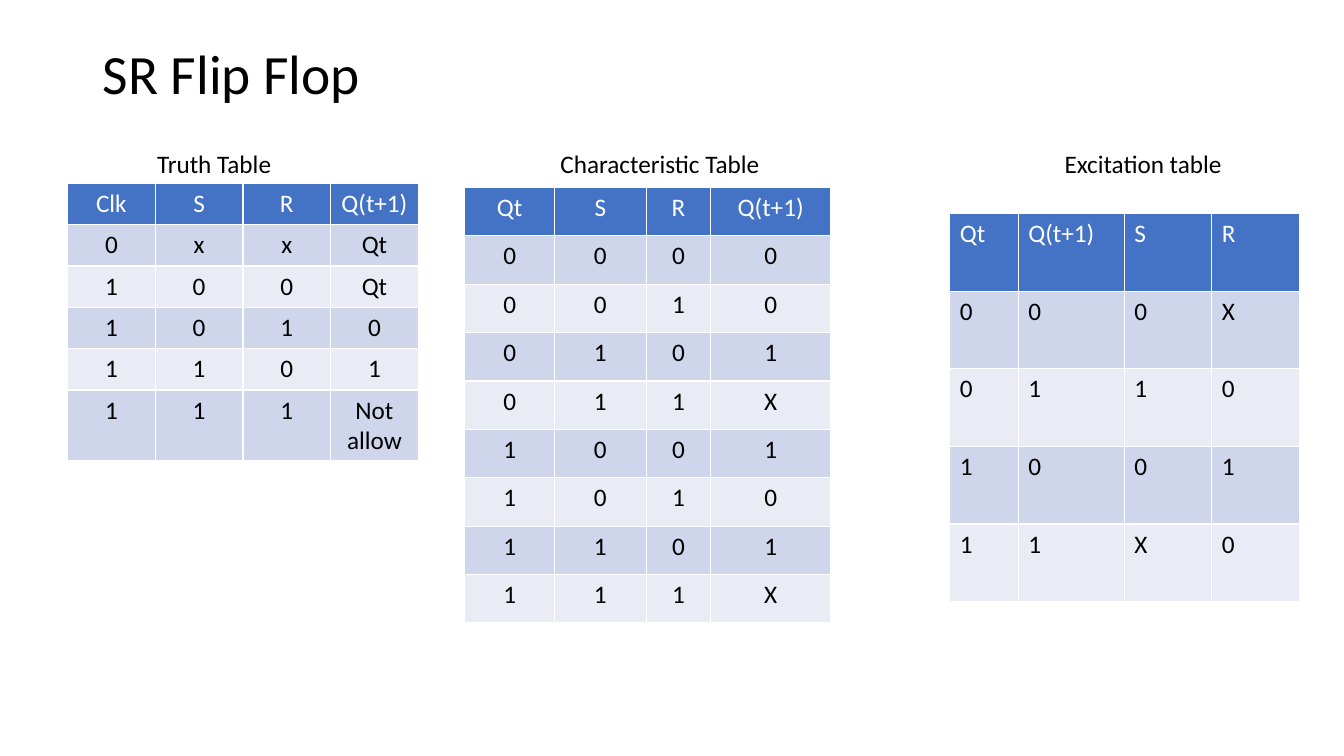
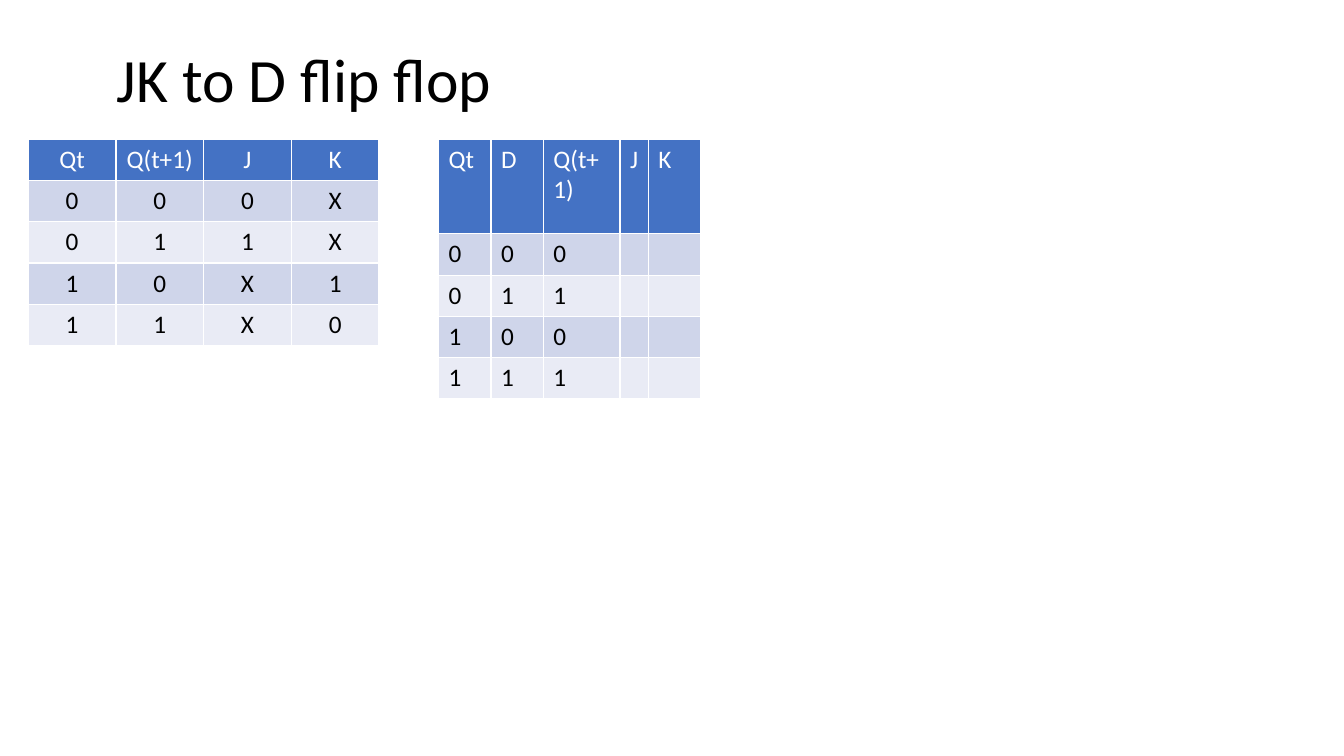
from pptx import Presentation
from pptx import util as u
from pptx.dml.color import RGBColor
from pptx.enum import text as t
from pptx.oxml import parse_xml
from pptx.oxml.ns import nsdecls

INK, WHITE, HEAD = "000000", "FFFFFF", "4472C4"
BANDS = ["CFD5EA", "E9EBF5"]
LEFT, MID = t.PP_ALIGN.LEFT, t.PP_ALIGN.CENTER

TRUTH = ["Clk,S,R,Q(t+1)", "0,x,x,Qt", "1,0,0,Qt", "1,0,1,0", "1,1,0,1",
         "1,1,1,Not allow"]
CHAR = ["Qt,S,R,Q(t+1)", "0,0,0,0", "0,0,1,0", "0,1,0,1", "0,1,1,X",
        "1,0,0,1", "1,0,1,0", "1,1,0,1", "1,1,1,X"]
EXCITE = ["Qt,Q(t+1),S,R", "0,0,0,X", "0,1,1,0", "1,0,0,1", "1,1,X,0"]
JK = ["Qt,Q(t+1),J,K", "0,0,0,X", "0,1,1,X", "1,0,X,1", "1,1,X,0"]
JK_TO_D = ["Qt,D,Q(t+1),J,K", "0,0,0,,", "0,1,1,,", "1,0,0,,", "1,1,1,,"]


def put(obj, **vals):
    """Set each named attribute on an object."""
    for key, val in vals.items():
        setattr(obj, key, val)


def hue(code):
    """Turn a hex string into a colour."""
    return RGBColor.from_string(code)


def style(par, size, color, align=LEFT):
    """Format a paragraph and its runs."""
    par.alignment = align
    for run in par.runs:
        put(run.font, name="Calibri", size=u.Pt(size), bold=False)
        run.font.color.rgb = hue(color)


def add_page(deck, title, size, high):
    """Add a slide with its title."""
    page = deck.slides.add_slide(deck.slide_layouts[5])
    head = page.shapes.title
    put(head, left=u.Inches(0.92), top=u.Inches(0.4),
        width=u.Inches(11.5), height=u.Inches(high))
    frame = head.text_frame
    put(frame, text=title, word_wrap=True, auto_size=t.MSO_AUTO_SIZE.NONE,
        vertical_anchor=t.MSO_ANCHOR.MIDDLE)
    par = frame.paragraphs[0]
    par.line_spacing = 0.9
    style(par, size, INK)
    return page


def add_heads(page, left, top, names, stops):
    """Add one line of table headings, spaced by tab stops."""
    box = page.shapes.add_textbox(*map(u.Inches, (left, top, 10.87, 0.4)))
    put(box.text_frame, word_wrap=True, text="\t".join(names))
    par = box.text_frame.paragraphs[0]
    style(par, 18, INK)
    tabs = "".join(f'<a:tab pos="{u.Inches(stop)}" algn="l"/>' for stop in stops)
    par._p.get_or_add_pPr().append(
        parse_xml(f'<a:tabLst {nsdecls("a")}>{tabs}</a:tabLst>'))


def add_grid(page, left, top, cols, highs, lines, align=MID):
    """Add a banded table from lines of comma-separated cells."""
    sizes = (left, top, sum(cols), sum(highs))
    grid = page.shapes.add_table(
        len(lines), len(cols), *map(u.Inches, sizes)).table
    for col, wide in zip(grid.columns, cols):
        col.width = u.Inches(wide)
    for i, (row, high, line) in enumerate(zip(grid.rows, highs, lines)):
        row.height = u.Inches(high)
        fill = BANDS[(i - 1) % 2] if i else HEAD
        for cell, word in zip(row.cells, line.split(",")):
            cell.fill.solid()
            cell.fill.fore_color.rgb = hue(fill)
            if word:
                cell.text = word
            style(cell.text_frame.paragraphs[0], 18, INK if i else WHITE, align)


def main():
    """Build and save the deck."""
    deck = Presentation()
    put(deck, slide_width=u.Inches(13.33), slide_height=u.Inches(7.5))

    page = add_page(deck, "SR Flip Flop", 39.6, 0.72)
    add_heads(page, 1.46, 1.42,
              ["Truth Table ", "Characteristic Table ", "Excitation table"],
              [4, 9])
    add_grid(page, 0.67, 1.82, [0.87] * 4, [0.41] * 5 + [0.69], TRUTH)
    add_grid(page, 4.61, 1.86, [0.89, 0.91, 0.64, 1.19], [0.48] * 9, CHAR)
    add_grid(page, 9.42, 2.12, [0.68, 1.05, 0.87, 0.87], [0.77] * 5,
             EXCITE, LEFT)

    page = add_page(deck, " JK to D flip flop", 44, 0.84)
    add_grid(page, 4.35, 1.38, [0.52, 0.52, 0.76, 0.28, 0.52],
             [0.94] + [0.41] * 4, JK_TO_D, LEFT)
    add_grid(page, 0.28, 1.38, [0.87] * 4, [0.41] * 5, JK)

    deck.save("out.pptx")


main()
